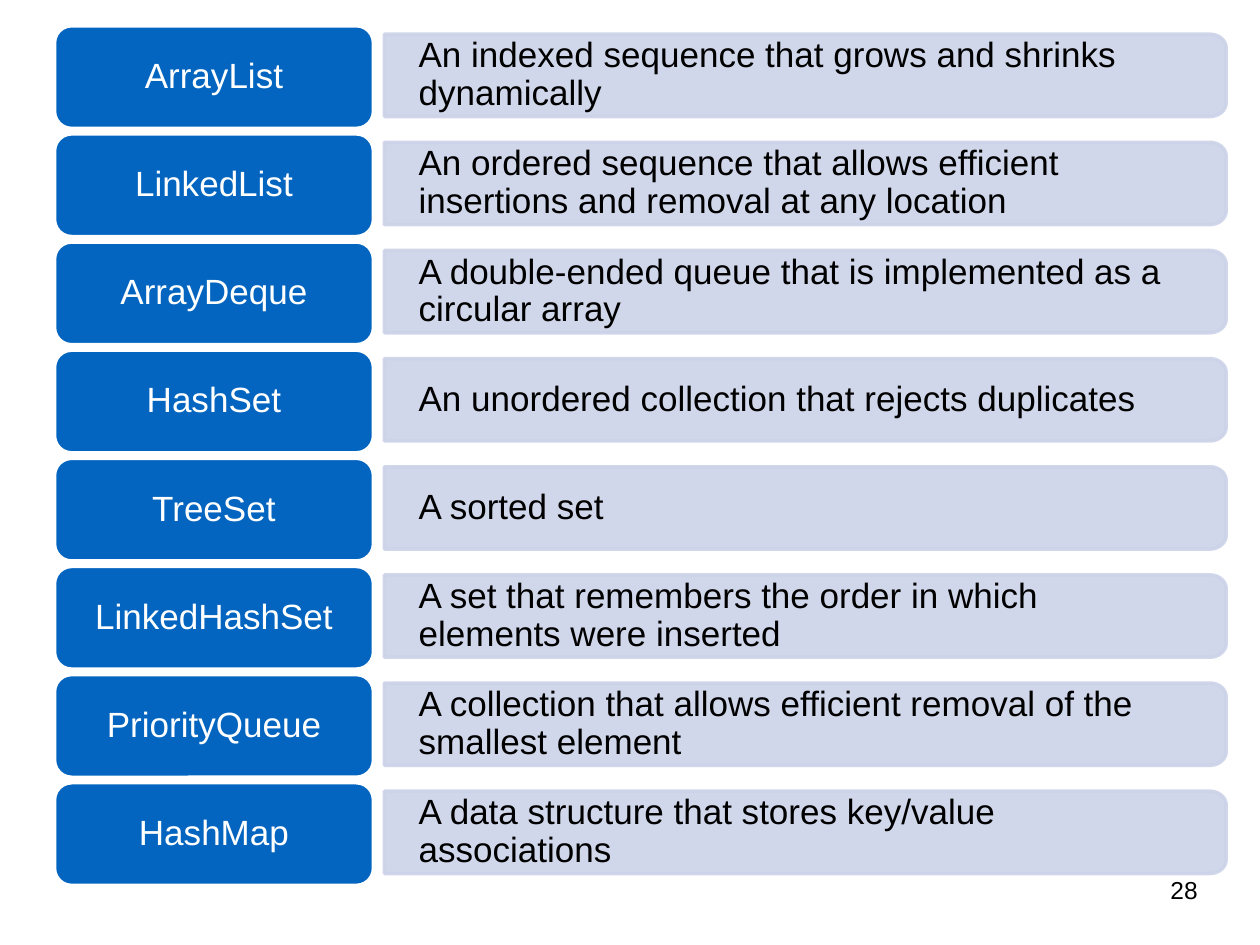
from math import cos, pi, sin

from lxml.etree import SubElement
from pptx import Presentation
from pptx.dml.color import RGBColor
from pptx.enum.shapes import MSO_SHAPE
from pptx.enum.text import MSO_ANCHOR, MSO_AUTO_SIZE, PP_ALIGN
from pptx.oxml.ns import qn
from pptx.util import Cm, Pt

COLLECTIONS = [
    ("ArrayList", "An indexed sequence that grows and shrinks dynamically"),
    ("LinkedList", "An ordered sequence that allows efficient insertions and removal at any location"),
    ("ArrayDeque", "A double-ended queue that is implemented as a circular array"),
    ("HashSet", "An unordered collection that rejects duplicates"),
    ("TreeSet", "A sorted set"),
    ("LinkedHashSet", "A set that remembers the order in which elements were inserted"),
    ("PriorityQueue", "A collection that allows efficient removal of the smallest element"),
    ("HashMap", "A data structure that stores key/value associations"),
]
ROW_PITCH = 2.18
BAR_LEFT, BAR_W, BAR_H = 7.75, 16.97, 1.66
CORNER_W, CORNER_H = 0.33, 0.28


def rgb(value):
    return RGBColor.from_string(value)


def style(sp, text, fill, line, color, align, insets):
    sp.shadow.inherit = False
    sp.fill.solid()
    sp.fill.fore_color.rgb = rgb(fill)
    sp.line.color.rgb = rgb(line)
    sp.line.width = Pt(2)
    tf = sp.text_frame
    tf.word_wrap = True
    tf.vertical_anchor = MSO_ANCHOR.MIDDLE
    tf.margin_left, tf.margin_top, tf.margin_right, tf.margin_bottom = map(Cm, insets)
    p = tf.paragraphs[0]
    p.text = text
    p.alignment = align
    p.line_spacing = 0.9
    p.font.name = "Arial"
    p.font.size = Pt(20)
    p.font.color.rgb = rgb(color)


prs = Presentation()
prs.slide_width, prs.slide_height = Cm(25.4), Cm(19.05)
s = prs.slides.add_slide(prs.slide_layouts[6])

for i, (name, description) in enumerate(COLLECTIONS):
    # Description bar, rounded on the right only
    top = 0.69 + i * ROW_PITCH
    right, bottom = BAR_LEFT + BAR_W, top + BAR_H
    angles = [k * pi / 16 for k in range(9)]
    points = [(right - CORNER_W + CORNER_W * sin(a), top + CORNER_H - CORNER_H * cos(a))
              for a in angles]
    points += [(right - CORNER_W + CORNER_W * cos(a), bottom - CORNER_H + CORNER_H * sin(a))
               for a in angles]
    points.append((BAR_LEFT, bottom))
    fb = s.shapes.build_freeform(Cm(BAR_LEFT), Cm(top))
    fb.add_line_segments([(Cm(x), Cm(y)) for x, y in points], close=True)
    sp = fb.convert_to_shape()
    style(sp, description, "CCD3E8", "CCD3E8", "000000", PP_ALIGN.LEFT,
          (0.69, 0.41, 0.76, 0.41))
    for clr in sp._element.spPr.iter(qn("a:srgbClr")):
        SubElement(clr, qn("a:alpha"), val="90000")

    # Class name label
    sp = s.shapes.add_shape(MSO_SHAPE.ROUNDED_RECTANGLE, Cm(1.1), Cm(0.52 + i * ROW_PITCH),
                            Cm(6.43), Cm(2.07))
    style(sp, name, "0365C0", "FFFFFF", "FFFFFF", PP_ALIGN.CENTER, (0.3, 0.2, 0.3, 0.2))

# Page number
sp = s.shapes.add_textbox(Cm(23.44), Cm(17.63), Cm(0.86), Cm(0.84))
tf = sp.text_frame
tf.word_wrap = False
tf.auto_size = MSO_AUTO_SIZE.SHAPE_TO_FIT_TEXT
tf.margin_left = tf.margin_top = tf.margin_right = tf.margin_bottom = 0
p = tf.paragraphs[0]
p.text = "28"
p.alignment = PP_ALIGN.CENTER
p.font.name = "Arial"
p.font.size = Pt(14)
p.font.color.rgb = rgb("000000")

prs.save("out.pptx")
